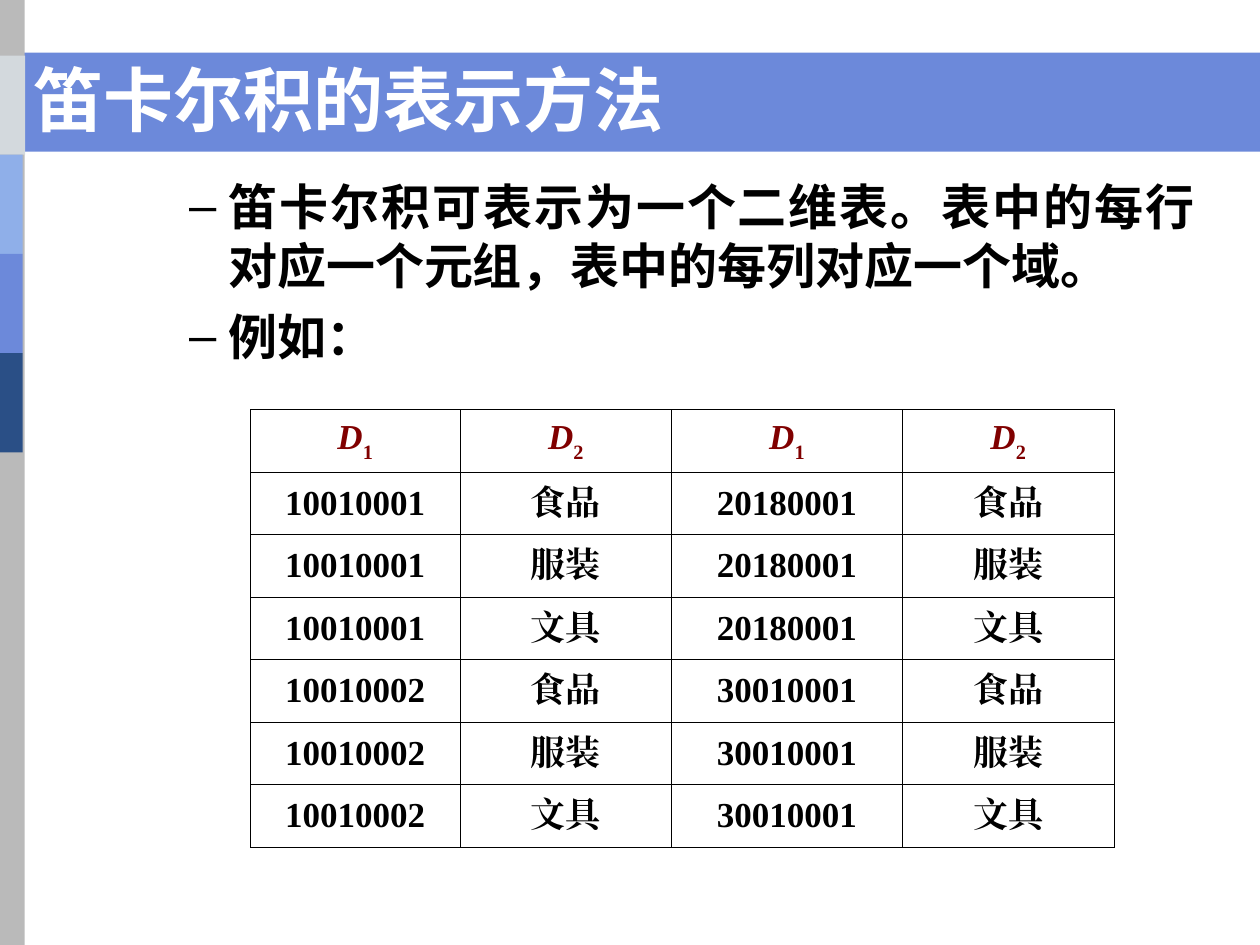
from lxml import etree
from pptx import Presentation
from pptx.dml.color import RGBColor
from pptx.enum.shapes import MSO_SHAPE
from pptx.enum.text import MSO_ANCHOR, MSO_AUTO_SIZE, PP_ALIGN
from pptx.oxml.ns import qn
from pptx.util import Cm, Pt

RECTANGLE = MSO_SHAPE.RECTANGLE
MIDDLE, BOTTOM, TOP = MSO_ANCHOR.MIDDLE, MSO_ANCHOR.BOTTOM, MSO_ANCHOR.TOP
LEFT, CENTER, JUSTIFY = PP_ALIGN.LEFT, PP_ALIGN.CENTER, PP_ALIGN.JUSTIFY
NO_AUTOFIT = MSO_AUTO_SIZE.NONE

BLACK = RGBColor(0x00, 0x00, 0x00)
WHITE = RGBColor(0xFF, 0xFF, 0xFF)
MAROON = RGBColor(0x80, 0x00, 0x00)
GREY = RGBColor(0xBA, 0xBA, 0xBA)
PALE_GREY = RGBColor(0xD3, 0xD9, 0xDD)
LIGHT_BLUE = RGBColor(0x8F, 0xAF, 0xE9)
BLUE = RGBColor(0x6C, 0x89, 0xDA)
DARK_BLUE = RGBColor(0x2A, 0x4F, 0x86)

TITLE_FONT = "DejaVu Sans"
BODY_FONT = "Noto Sans CJK SC"
TABLE_FONT = "Times New Roman"

POINTS = [
    "笛卡尔积可表示为一个二维表。表中的每行对应一个元组，表中的每列对应一个域。",
    "例如：",
]
COLUMN_WIDTHS = [4.22, 4.27, 4.65, 4.27]
ROW_HEIGHT = 1.26
# Each pair of values fills the left and right halves of three rows
NUMBER_PAIRS = [("10010001", "20180001"), ("10010002", "30010001")]
GOODS = ["食品", "服装", "文具"]
THIN, THICK = 0.45, 0.96


def add_text(para, text, *, font, size, color=BLACK, italic=False, baseline=0):
    """Append a bold span, with the same font for Latin and Chinese text."""
    span = para.add_run()
    span.text = text
    span.font.name = font
    span.font.size = Pt(size)
    span.font.bold = True
    span.font.italic = italic
    span.font.color.rgb = color
    properties = span.font._element
    east_asian = etree.SubElement(properties, qn("a:ea"), typeface=font)
    properties.find(qn("a:latin")).addnext(east_asian)
    if baseline:
        properties.set("baseline", str(baseline * 1000))


def add_block(page, left, top, width, height, color):
    """Add a plain rectangle behind the placeholders."""
    block = page.shapes.add_shape(RECTANGLE, Cm(left), Cm(top), Cm(width), Cm(height))
    block.shadow.inherit = False
    block.fill.solid()
    block.fill.fore_color.rgb = color
    block.line.fill.background()
    page.shapes.title.element.addprevious(block.element)


def place(box, left, top, width, height, anchor):
    box.left, box.top, box.width, box.height = Cm(left), Cm(top), Cm(width), Cm(height)
    frame = box.text_frame
    frame.word_wrap = True
    frame.auto_size = NO_AUTOFIT
    frame.vertical_anchor = anchor
    return frame


def add_dash(para):
    """Give a paragraph a black dash and a hanging indent."""
    properties = para._p.get_or_add_pPr()
    properties.set("marL", str(Cm(2.06)))
    properties.set("indent", str(Cm(-0.79)))
    color = etree.SubElement(properties, qn("a:buClr"))
    etree.SubElement(color, qn("a:srgbClr"), val=str(BLACK))
    etree.SubElement(properties, qn("a:buChar"), char="–")


def draw_borders(tc, column):
    """Frame a cell; the line between the two halves is thicker."""
    widths = {
        "L": THICK if column == 2 else THIN,
        "R": THICK if column == 1 else THIN,
        "T": THIN,
        "B": THIN,
    }
    properties = tc.get_or_add_tcPr()
    for index, (side, width) in enumerate(widths.items()):
        line = etree.Element(qn(f"a:ln{side}"), w=str(Pt(width)))
        fill = etree.SubElement(line, qn("a:solidFill"))
        etree.SubElement(fill, qn("a:srgbClr"), val=str(BLACK))
        properties.insert(index, line)


def add_background(page):
    add_block(page, 0, 1.06, 25.4, 2, BLUE)
    add_block(page, -0.03, 0, 0.53, 19.05, GREY)
    stripes = [(0, PALE_GREY), (-0.05, LIGHT_BLUE), (-0.05, BLUE), (-0.05, DARK_BLUE)]
    for index, (left, color) in enumerate(stripes):
        add_block(page, left, 1.12 + 2 * index, 0.51, 2, color)


def fill_title(page):
    frame = place(page.shapes.title, 0.43, 1.06, 21.64, 1.9, BOTTOM)
    para = frame.paragraphs[0]
    para.alignment = LEFT
    add_text(para, "笛卡尔积的表示方法", font=TITLE_FONT, size=40, color=WHITE)


def fill_body(page):
    frame = place(page.placeholders[1], 2.29, 3.43, 22.05, 4.19, TOP)
    for index, text in enumerate(POINTS):
        para = frame.add_paragraph() if index else frame.paragraphs[0]
        para.level = 1
        para.alignment = JUSTIFY
        para.space_before = Pt(7 if index else 0)
        add_dash(para)
        add_text(para, text, font=BODY_FONT, size=28)


def add_product_table(page):
    rows = [
        (left, item, right, item) for left, right in NUMBER_PAIRS for item in GOODS
    ]
    holder = page.shapes.add_table(
        len(rows) + 1, len(COLUMN_WIDTHS), Cm(5.05), Cm(8.26),
        Cm(sum(COLUMN_WIDTHS)), Cm(ROW_HEIGHT * (len(rows) + 1)),
    )
    table = holder.table
    table.first_row = table.horz_banding = False
    for column, width in zip(table.columns, COLUMN_WIDTHS):
        column.width = Cm(width)

    # Headings with subscripts, then the tuples
    for column in range(len(COLUMN_WIDTHS)):
        para = table.cell(0, column).text_frame.paragraphs[0]
        add_text(para, "D", font=TABLE_FONT, size=20, color=MAROON, italic=True)
        add_text(para, str(column % 2 + 1), font=TABLE_FONT, size=20,
                 color=MAROON, baseline=-30)
    for row, values in enumerate(rows, start=1):
        for column, value in enumerate(values):
            para = table.cell(row, column).text_frame.paragraphs[0]
            add_text(para, value, font=TABLE_FONT, size=20)

    # Shared cell format
    cells = zip(table.iter_cells(), holder.element.iter(qn("a:tc")))
    for index, (cell, tc) in enumerate(cells):
        cell.vertical_anchor = MIDDLE
        cell.text_frame.paragraphs[0].alignment = CENTER
        cell.fill.background()
        draw_borders(tc, index % len(COLUMN_WIDTHS))


def main():
    deck = Presentation()
    deck.slide_width, deck.slide_height = Cm(25.4), Cm(19.05)
    page = deck.slides.add_slide(deck.slide_layouts[1])
    add_background(page)
    fill_title(page)
    fill_body(page)
    add_product_table(page)
    deck.save("out.pptx")


if __name__ == "__main__":
    main()
